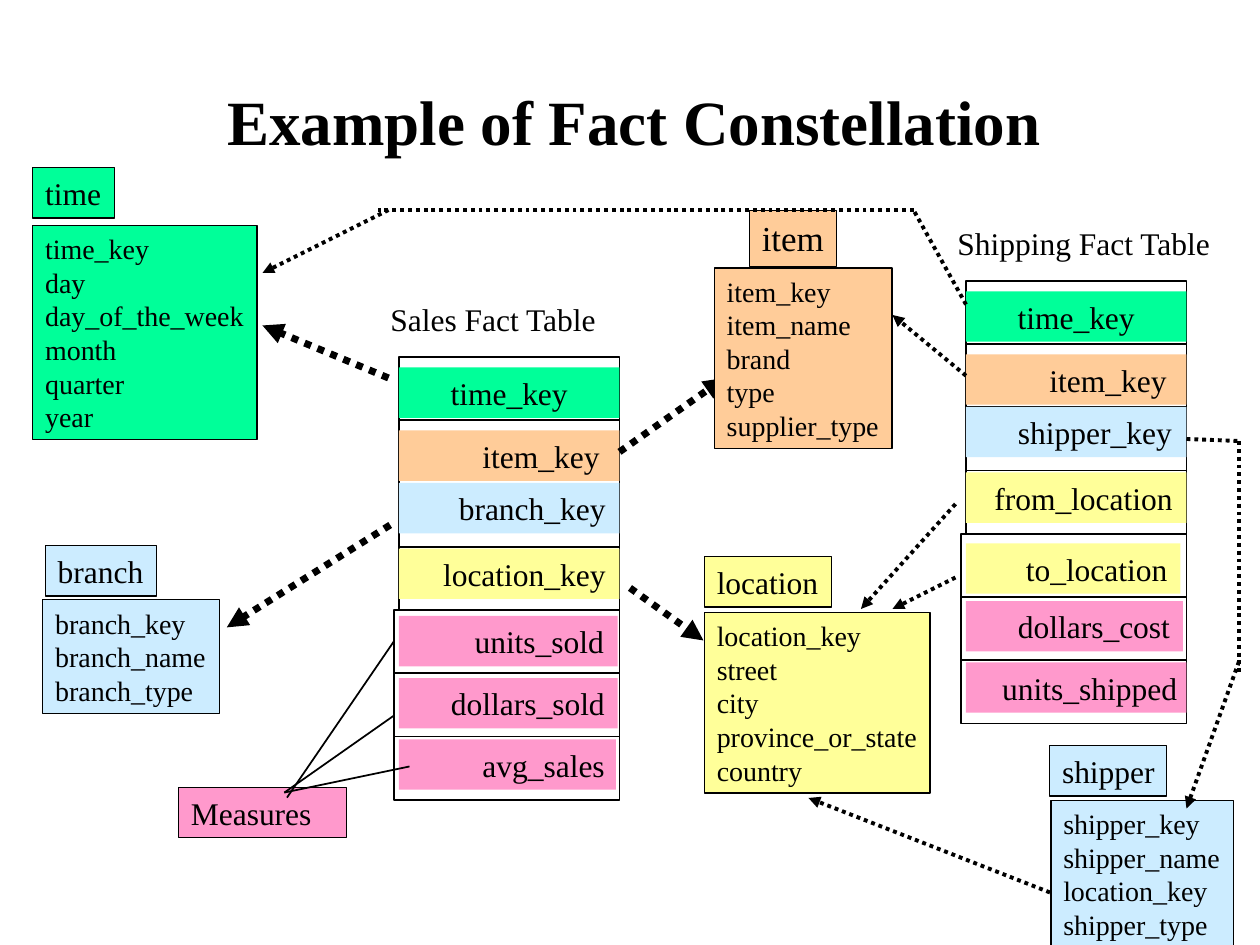
from dataclasses import dataclass
from typing import NamedTuple

from lxml import etree
from pptx import Presentation
from pptx.dml.color import RGBColor
from pptx.enum.dml import MSO_LINE
from pptx.enum.shapes import MSO_CONNECTOR, MSO_SHAPE
from pptx.enum.text import MSO_ANCHOR, PP_ALIGN
from pptx.oxml.ns import qn
from pptx.util import Pt

RECTANGLE = MSO_SHAPE.RECTANGLE
STRAIGHT = MSO_CONNECTOR.STRAIGHT
DOTTED = MSO_LINE.ROUND_DOT
TOP, MIDDLE = MSO_ANCHOR.TOP, MSO_ANCHOR.MIDDLE
LEFT, CENTER = PP_ALIGN.LEFT, PP_ALIGN.CENTER
LEFT_SIDE, RIGHT_SIDE = 1, 3
TITLE_ONLY = 5


@dataclass(frozen=True)
class Theme:
    font: str = "Times New Roman"
    ink: RGBColor = RGBColor(0x00, 0x00, 0x00)
    green: RGBColor = RGBColor(0x00, 0xFF, 0x99)
    orange: RGBColor = RGBColor(0xFF, 0xCC, 0x99)
    blue: RGBColor = RGBColor(0xCC, 0xEC, 0xFF)
    yellow: RGBColor = RGBColor(0xFF, 0xFF, 0x99)
    pink: RGBColor = RGBColor(0xFF, 0x99, 0xCC)
    title_size: float = 36
    item_size: float = 20
    label_size: float = 18
    field_size: float = 16
    box_line: float = 0.75
    frame_line: float = 1
    thin_arrow: float = 2.25
    thick_arrow: float = 4


THEME = Theme()


class Box(NamedTuple):
    left: float
    top: float
    width: float
    height: float


def write_lines(shape, lines, size, align=LEFT, indent=0, bold=False, anchor=TOP):
    frame = shape.text_frame
    frame.word_wrap = True
    frame.vertical_anchor = anchor
    frame.margin_left = Pt(7.2 + indent)
    frame.margin_right = Pt(0 if align == LEFT else 7.2)
    frame.margin_top = frame.margin_bottom = Pt(3.6)
    frame.text = "\n".join(lines)
    for paragraph in frame.paragraphs:
        paragraph.alignment = align
        font = paragraph.runs[0].font
        font.name, font.size, font.bold = THEME.font, Pt(size), bold
        font.color.rgb = THEME.ink


def add_rectangle(slide, box, fill=None, line=None):
    shape = slide.shapes.add_shape(RECTANGLE, *map(Pt, box))
    shape.shadow.inherit = False
    if fill is None:
        shape.fill.background()
    else:
        shape.fill.solid()
        shape.fill.fore_color.rgb = fill
    if line is None:
        shape.line.fill.background()
    else:
        shape.line.color.rgb = THEME.ink
        shape.line.width = Pt(line)
    return shape


def add_line(slide, start, end, width, dotted=False, arrow=False):
    connector = slide.shapes.add_connector(STRAIGHT, *map(Pt, (*start, *end)))
    connector.line.color.rgb = THEME.ink
    connector.line.width = Pt(width)
    if dotted:
        connector.line.dash_style = DOTTED
    if arrow:
        outline = connector.line._get_or_add_ln()
        etree.SubElement(outline, qn("a:tailEnd"), type="triangle")
    etree.SubElement(connector._element.spPr, qn("a:effectLst"))
    return connector


def add_title(slide, box, text):
    title = slide.shapes.title
    title.left, title.top, title.width, title.height = map(Pt, box)
    write_lines(title, [text], THEME.title_size, CENTER, bold=True, anchor=MIDDLE)


def add_dimension(slide, box, name, fields, fill, label_width, label_left=0,
                  label_size=THEME.label_size):
    """Name label at the top of the box, field list at its bottom."""
    height = 19.2 * len(fields) + 7.2
    table_box = Box(box.left, box.top + box.height - height, box.width, height)
    table = add_rectangle(slide, table_box, fill, THEME.box_line)
    write_lines(table, fields, THEME.field_size)
    label_box = Box(box.left + label_left, box.top, label_width, 1.6 * label_size)
    label = add_rectangle(slide, label_box, fill, THEME.box_line)
    write_lines(label, [name], label_size)


def add_fact_table(slide, box, caption, caption_left, caption_width, rows):
    """Caption above equal frames, each with a coloured key; returns the frames by key."""
    caption_box = Box(box.left + caption_left, box.top - 36, caption_width, 28.8)
    text_box = slide.shapes.add_textbox(*map(Pt, caption_box))
    write_lines(text_box, [caption], THEME.label_size)

    pitch = box.height / len(rows)
    frames = {}
    for index, (key, fill, indent, band_top, band_width) in enumerate(rows):
        overhang = 3 if index >= 4 else 0
        frame_box = Box(box.left - overhang, box.top + index * pitch,
                        box.width + overhang, pitch)
        frames[key] = add_rectangle(slide, frame_box, line=THEME.frame_line)
        band = add_rectangle(
            slide, Box(box.left, box.top + band_top, band_width, 28.8), fill)
        write_lines(band, [key], THEME.label_size,
                    CENTER if indent is None else LEFT, indent or 0)
    return frames


def add_measures(slide, box, units_frame):
    label = add_rectangle(slide, box, THEME.pink, THEME.box_line)
    write_lines(label, ["Measures"], THEME.label_size)
    left, top = box.left + 60.5, box.top + 2.9
    units_line = add_line(slide, (left + 1.5, top + 2.9), (225, 366), THEME.frame_line)
    units_line.end_connect(units_frame, LEFT_SIDE)
    for end in ((225, 409), (234, 438)):
        add_line(slide, (left, top), end, THEME.frame_line)


def add_sales_arrows(slide, sales):
    arrows = [
        ((223, 300), (129.6, 358.5)),
        ((222, 216), (150, 186)),
        ((360, 336), (402, 366)),
    ]
    for start, end in arrows:
        add_line(slide, start, end, THEME.thick_arrow, True, True)
    item = add_line(slide, (354, 257), (414, 216), THEME.thick_arrow, True, True)
    item.begin_connect(sales["item_key"], RIGHT_SIDE)


def add_shipping_arrows(slide, shipping):
    segments = [
        ((552, 174), (522, 120), False),
        ((522, 120), (216, 120), False),
        ((222, 120), (150, 156), True),
        ((546, 288), (492, 348), True),
        ((546, 330), (510, 348), True),
        ((708, 252), (708, 384), False),
        ((708, 378), (678, 462), True),
        ((600, 510), (462, 456), True),
    ]
    for start, end, arrow in segments:
        add_line(slide, start, end, THEME.thin_arrow, True, arrow)
    item = add_line(slide, (552, 216), (510, 180), THEME.thin_arrow, True, True)
    item.begin_connect(shipping["item_key"], LEFT_SIDE)
    shipper = add_line(slide, (678, 252), (708, 252), THEME.thin_arrow, True)
    shipper.begin_connect(shipping["shipper_key"], RIGHT_SIDE)


def add_constellation(slide):
    add_dimension(slide, Box(18.7, 95.8, 128.2, 155.5), "time",
                  ["time_key", "day", "day_of_the_week", "month", "quarter", "year"],
                  THEME.green, 46.8)
    add_dimension(slide, Box(402.5, 318.2, 128.9, 135), "location",
                  ["location_key", "street", "city", "province_or_state", "country"],
                  THEME.yellow, 72.7)
    add_dimension(slide, Box(24.5, 311.8, 100.8, 95.8), "branch",
                  ["branch_key", "branch_name", "branch_type"], THEME.blue, 63.4, 1.4)
    sales = add_fact_table(slide, Box(228, 204, 126, 253), "Sales Fact Table", -12, 133, [
        ("time_key", THEME.green, None, 6, 126),
        ("item_key", THEME.orange, 40.5, 42, 126),
        ("branch_key", THEME.blue, 27, 72, 126),
        ("location_key", THEME.yellow, 18, 109.5, 126),
        ("units_sold", THEME.pink, 36, 148, 125),
        ("dollars_sold", THEME.pink, 22.5, 183.5, 125),
        ("avg_sales", THEME.pink, 40.5, 218.5, 124)])
    shipping = add_fact_table(
        slide, Box(552, 160.5, 126, 253), "Shipping Fact Table", -12, 160.5, [
            ("time_key", THEME.green, None, 6, 126),
            ("item_key", THEME.orange, 40.5, 42, 126),
            ("shipper_key", THEME.blue, 22.5, 72, 126),
            ("from_location", THEME.yellow, 9, 109.5, 126),
            ("to_location", THEME.yellow, 27, 150, 122.5),
            ("dollars_cost", THEME.pink, 22.5, 183, 124),
            ("units_shipped", THEME.pink, 13.5, 218, 126)])
    add_measures(slide, Box(102, 450, 96, 28.8), sales["units_sold"])
    add_sales_arrows(slide, sales)
    add_dimension(slide, Box(408.2, 120.2, 101.5, 136.1), "item",
                  ["item_key", "item_name", "brand", "type", "supplier_type"],
                  THEME.orange, 49.7, 20, THEME.item_size)
    add_dimension(slide, Box(600.5, 426.2, 104.4, 115.2), "shipper",
                  ["shipper_key", "shipper_name", "location_key", "shipper_type"],
                  THEME.blue, 67, -0.7)
    add_shipping_arrows(slide, shipping)


def main():
    presentation = Presentation()
    presentation.slide_width, presentation.slide_height = Pt(720), Pt(540)
    slide = presentation.slides.add_slide(presentation.slide_layouts[TITLE_ONLY])
    add_title(slide, Box(93, 24, 538.5, 90), "Example of Fact Constellation")
    add_constellation(slide)
    presentation.save("out.pptx")


if __name__ == "__main__":
    main()
